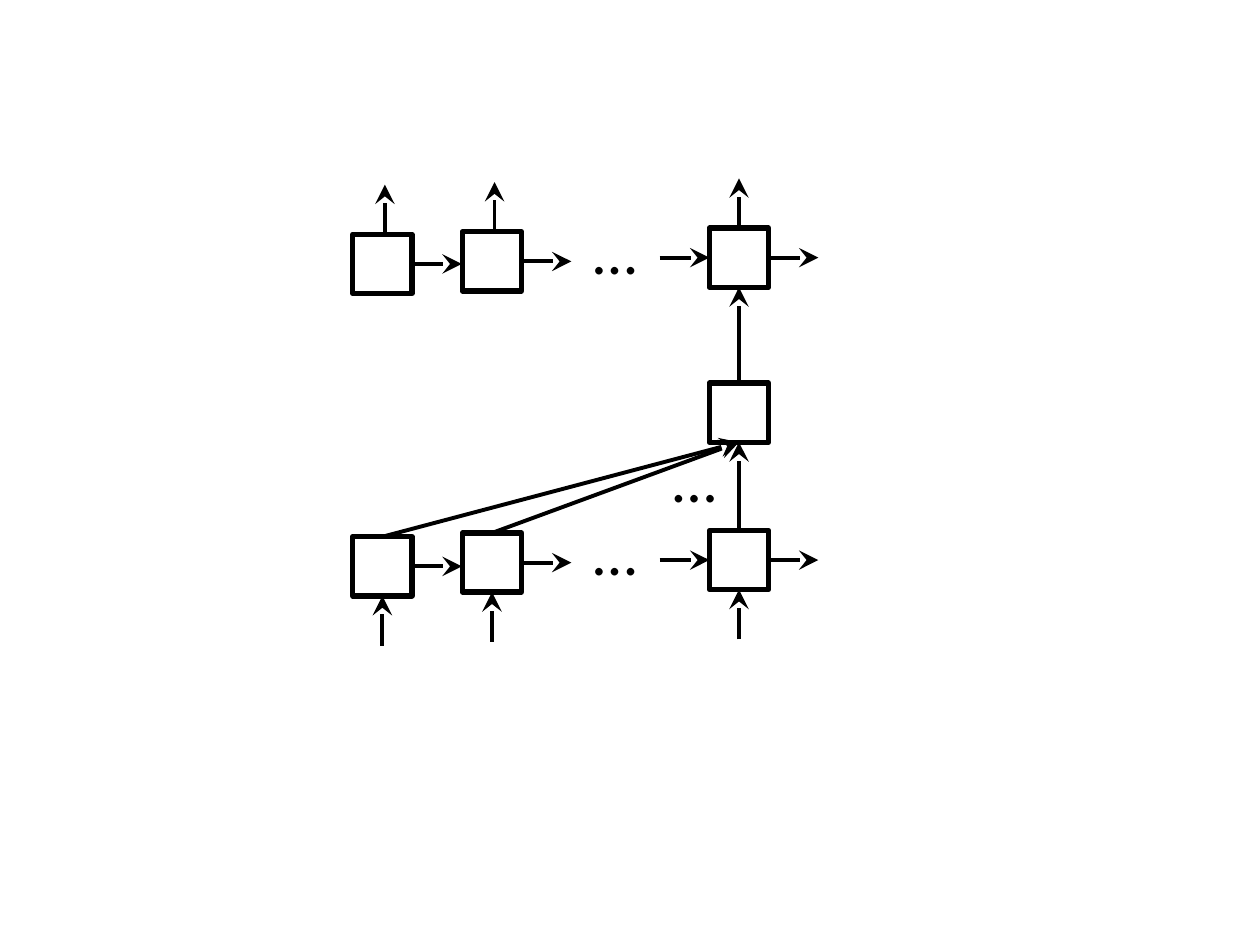
from lxml.etree import SubElement
from pptx import Presentation
from pptx.dml.color import RGBColor
from pptx.enum.shapes import MSO_CONNECTOR, MSO_SHAPE
from pptx.enum.text import MSO_AUTO_SIZE, MSO_ANCHOR
from pptx.oxml.ns import qn
from pptx.util import Inches, Pt

BLACK = RGBColor(0, 0, 0)
FONT = "Calibri"
BOX = 0.47
HALF = BOX / 2
STEP = 0.395  # length of a short arrow

COLUMNS = [2.8, 3.67, 5.63]
INPUT_TOPS = [4.26, 4.23, 4.21]
OUTPUT_TOPS = [1.86, 1.84, 1.81]
OUTPUT_ARROW_SHIFTS = [0.02, 0.02, 0]
CONTEXT_TOP = 3.04
ELLIPSES = [(4.61, 4.02), (4.61, 1.63), (5.24, 3.44)]

prs = Presentation()
prs.slide_width, prs.slide_height = Inches(10), Inches(7.5)
slide = prs.slides.add_slide(prs.slide_layouts[6])


def add_cell(left, top):
    cell = slide.shapes.add_shape(
        MSO_SHAPE.RECTANGLE, Inches(left), Inches(top), Inches(BOX), Inches(BOX))
    cell.shadow.inherit = False
    cell.fill.background()
    cell.line.color.rgb = BLACK
    cell.line.width = Pt(3)


def add_arrow(x1, y1, x2, y2):
    arrow = slide.shapes.add_connector(
        MSO_CONNECTOR.STRAIGHT, Inches(x1), Inches(y1), Inches(x2), Inches(y2))
    arrow.line.color.rgb = BLACK
    arrow.line.width = Pt(2.25)
    properties = arrow.element.spPr
    SubElement(properties.find(qn("a:ln")), qn("a:tailEnd"),
               type="stealth", w="lg", len="lg")
    SubElement(properties, qn("a:effectLst"))


def add_ellipsis(left, top):
    box = slide.shapes.add_textbox(
        Inches(left), Inches(top), Inches(0.55), Inches(0.71))
    frame = box.text_frame
    frame.word_wrap = False
    frame.auto_size = MSO_AUTO_SIZE.SHAPE_TO_FIT_TEXT
    frame.vertical_anchor = MSO_ANCHOR.TOP
    run = frame.paragraphs[0].add_run()
    run.text = "…"
    run.font.size = Pt(36)
    run.font.name = FONT
    run.font.color.rgb = BLACK


def add_layer(tops):
    """Draw a row of cells, each passing its state to the right."""
    for left, top in zip(COLUMNS, tops):
        add_cell(left, top)
        add_arrow(left + BOX, top + HALF, left + BOX + STEP, top + HALF)
    last_left, last_middle = COLUMNS[-1], tops[-1] + HALF
    add_arrow(last_left - STEP, last_middle, last_left, last_middle)


add_layer(INPUT_TOPS)
add_layer(OUTPUT_TOPS)
add_cell(COLUMNS[-1], CONTEXT_TOP)

context_x = COLUMNS[-1] + HALF
for left, top in zip(COLUMNS, INPUT_TOPS):
    center, bottom = left + HALF, top + BOX
    add_arrow(center, bottom + STEP, center, bottom)
    add_arrow(center, top, context_x, CONTEXT_TOP + BOX)

for left, top, shift in zip(COLUMNS, OUTPUT_TOPS, OUTPUT_ARROW_SHIFTS):
    x = left + HALF + shift
    add_arrow(x, top, x, top - STEP)
add_arrow(context_x, CONTEXT_TOP, context_x, OUTPUT_TOPS[-1] + BOX)

for left, top in ELLIPSES:
    add_ellipsis(left, top)

prs.save("out.pptx")
